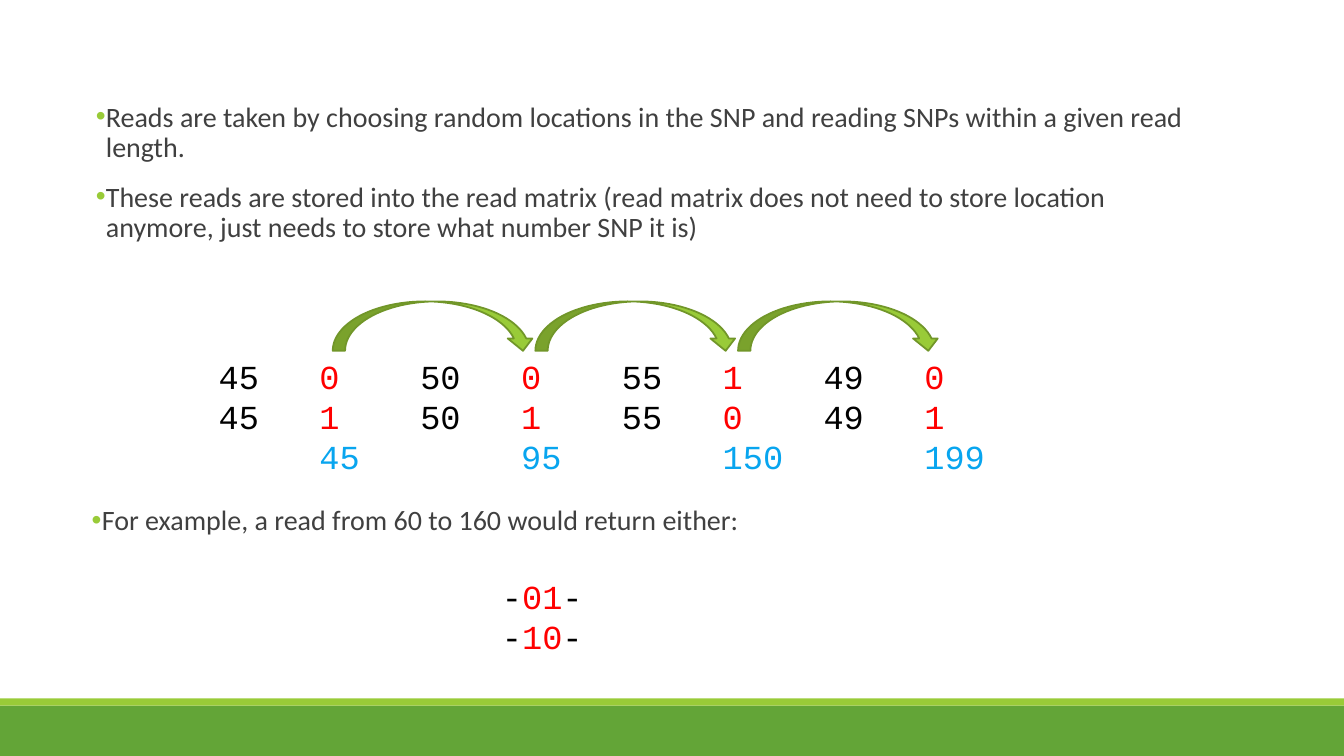
from dataclasses import dataclass
from itertools import chain

from lxml.etree import SubElement
from pptx import Presentation
from pptx.dml.color import RGBColor
from pptx.enum.shapes import MSO_SHAPE
from pptx.enum.text import MSO_ANCHOR, MSO_AUTO_SIZE, PP_ALIGN
from pptx.oxml.ns import qn
from pptx.util import Inches, Pt

LIME, GREEN, OUTLINE = "99CB38", "63A537", "719629"
GREY, BLACK, RED, BLUE = "404040", "000000", "FF0000", "08A5EF"
STEP = 2.01  # distance between neighbouring SNPs
TAB = 0.5

Run = tuple[str, str]  # text, colour


@dataclass
class Box:
    left: float
    top: float
    width: float
    height: float

    def lengths(self) -> list[int]:
        return [Inches(v) for v in (self.left, self.top, self.width, self.height)]


@dataclass
class Block:
    box: Box
    lines: list[list[Run]]
    wrap: bool = True


def rgb(color: str) -> RGBColor:
    return RGBColor.from_string(color)


def add_bullet(p, color: str) -> None:
    pPr = p._p.get_or_add_pPr()
    pPr.set("marL", str(Inches(0.1)))
    pPr.set("indent", str(Inches(-0.1)))
    buClr = SubElement(pPr, qn("a:buClr"))
    SubElement(buClr, qn("a:srgbClr"), val=color)
    SubElement(pPr, qn("a:buChar"), char="•")


def add_tab_stops(p, count: int) -> None:
    tabs = SubElement(p._p.get_or_add_pPr(), qn("a:tabLst"))
    for i in range(1, count + 1):
        SubElement(tabs, qn("a:tab"), pos=str(Inches(i * TAB)), algn="l")


def write(tf, lines: list[list[Run]], *, font: str, size: float,
          bullet: str = "", tabs: int = 0, wrap: bool = True,
          auto_size=MSO_AUTO_SIZE.NONE) -> None:
    tf.word_wrap = wrap
    tf.auto_size = auto_size
    tf.vertical_anchor = MSO_ANCHOR.TOP
    for i, runs in enumerate(lines):
        p = tf.add_paragraph() if i else tf.paragraphs[0]
        p.alignment = PP_ALIGN.LEFT
        if bullet:
            p.line_spacing, p.space_before, p.space_after = 0.9, Pt(12), Pt(2)
            add_bullet(p, bullet)
        if tabs:
            add_tab_stops(p, tabs)
        for text, color in runs:
            r = p.add_run()
            r.text = text
            r.font.name, r.font.size = font, Pt(size)
            r.font.color.rgb = rgb(color)


def add_shape(slide, kind: MSO_SHAPE, box: Box, fill: str, line: str = "") -> None:
    sp = slide.shapes.add_shape(kind, *box.lengths())
    sp.shadow.inherit = False
    sp.fill.solid()
    sp.fill.fore_color.rgb = rgb(fill)
    if line:
        sp.line.color.rgb = rgb(line)
        sp.line.width = Pt(1.25)
    else:
        sp.line.fill.background()


def haplotype(distances: list[str], alleles: str) -> list[Run]:
    """Distances in black, each followed by its allele in red."""
    pairs = zip(distances, alleles)
    return list(chain.from_iterable(
        [(f"\t\t{d}\t\t" if i else f"{d}\t\t", BLACK), (a, RED)]
        for i, (d, a) in enumerate(pairs)))


def read(alleles: str) -> list[Run]:
    return [("-", BLACK), (alleles, RED), ("-", BLACK)]


def main() -> None:
    prs = Presentation()
    prs.slide_width, prs.slide_height = Inches(13.33), Inches(7.5)
    slide = prs.slides.add_slide(prs.slide_layouts[3])
    title = slide.shapes.title._element
    title.getparent().remove(title)

    # Bars along the bottom edge
    add_shape(slide, MSO_SHAPE.RECTANGLE, Box(0, 7, 13.33, 0.5), GREEN)
    add_shape(slide, MSO_SHAPE.RECTANGLE, Box(0, 6.93, 13.33, 0.07), LIME)

    # Bulleted lists
    lists = [
        Block(Box(0.85, 0.97, 11, 4.4), [
            [("Reads are taken by choosing random locations in the SNP and "
              "reading SNPs within a given read length.", GREY)],
            [("These reads are stored into the read matrix (read matrix does "
              "not need to store location anymore, just needs to store what "
              "number SNP it is)", GREY)]]),
        Block(Box(0.81, 4.97, 11, 4.4), [
            [("For example, a read from 60 to 160 would return either:", GREY)]]),
    ]
    for sp, block in zip(list(slide.placeholders), lists):
        sp.left, sp.top, sp.width, sp.height = block.box.lengths()
        write(sp.text_frame, block.lines, font="Calibri", size=20, bullet=LIME)

    # Haplotypes with SNP locations, and the resulting reads
    distances = ["45", "50", "55", "49"]
    sequences = [
        Block(Box(2.07, 3.48, 8.37, 1.31), [
            haplotype(distances, "0010"),
            haplotype(distances, "1101"),
            [("\t\t45\t\t\t\t95\t\t\t\t150\t\t\t199", BLUE)]]),
        Block(Box(4.88, 5.66, 1.01, 0.91), [read("01"), read("10")], wrap=False),
    ]
    for block in sequences:
        sp = slide.shapes.add_textbox(*block.box.lengths())
        write(sp.text_frame, block.lines, font="Courier New", size=24,
              tabs=16 if block.wrap else 0, wrap=block.wrap,
              auto_size=MSO_AUTO_SIZE.SHAPE_TO_FIT_TEXT)

    # Arrows from each SNP to the next
    for i in range(len(distances) - 1):
        add_shape(slide, MSO_SHAPE.CURVED_DOWN_ARROW,
                  Box(3.3 + i * STEP, 2.99, STEP, 0.49), LIME, OUTLINE)

    prs.save("out.pptx")


if __name__ == "__main__":
    main()
